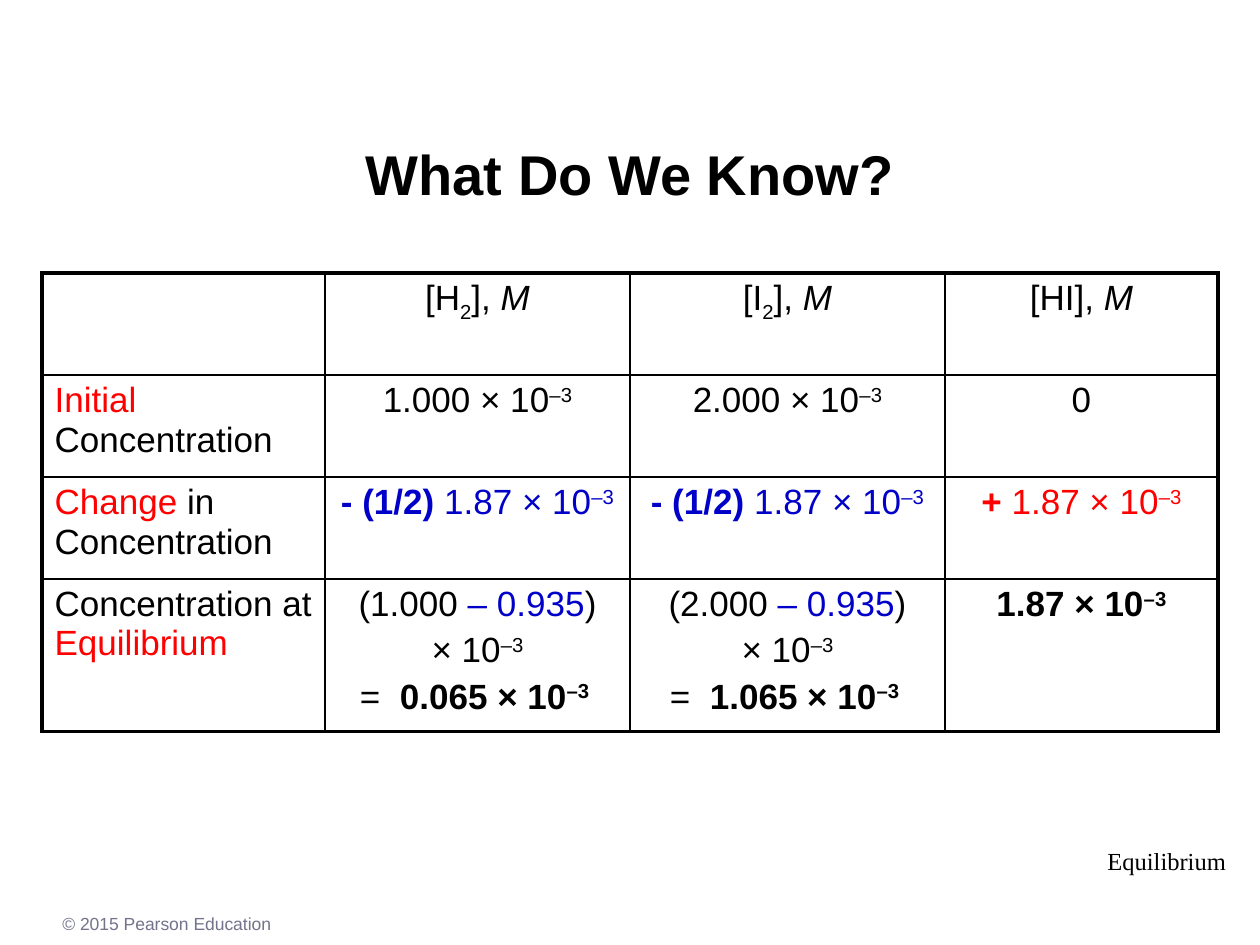
import pptx
import pptx.dml.color
import pptx.enum.text
import pptx.oxml
import pptx.oxml.ns
import pptx.util

PX_PER_INCH = 126
COLORS = {"black": "000000", "red": "FF0000", "blue": "0000C9", "grey": "73738C"}
ALIGN = pptx.enum.text.PP_ALIGN
ANCHOR = pptx.enum.text.MSO_ANCHOR


def px(length):
    return pptx.util.Emu(round(length * 914400 / PX_PER_INCH))


def part(text, **look):
    """Pair a piece of text with the format that sets it apart in its line."""
    return text, look


def write(paragraph, text, size=20, font="Arial", color="black",
          bold=False, italic=False, baseline=0):
    run = paragraph.add_run()
    run.text = text
    run.font.size = pptx.util.Pt(size)
    run.font.name = font
    run.font.bold = bold
    run.font.italic = italic
    run.font.color.rgb = pptx.dml.color.RGBColor.from_string(COLORS[color])
    if baseline:
        run.font._element.set("baseline", str(baseline * 1000))


def power(text, tail="", **look):
    """Number followed by the superscript exponent –3."""
    return [part(text, **look), part("–3" + tail, baseline=30, **look)]


def heading(formula, subscript=""):
    parts = [part("[" + formula)]
    if subscript:
        parts.append(part(subscript, baseline=-25))
    return [parts + [part("], "), part("M", italic=True)]]


def change(sign, color):
    return [[part(sign, bold=True, color=color)] + power("1.87 × 10", color=color)]


def remainder(initial, result):
    """Three lines that subtract the change from the initial amount."""
    return [
        [part(f"({initial} "), part("– 0.935", color="blue"), part(")")],
        power("× 10"),
        [part("=  ")] + power(f"{result} × 10", " ", bold=True),
    ]


class SlideBuilder:
    thin, thick = 1, 2.25

    def __init__(self, presentation):
        self.slide = presentation.slides.add_slide(presentation.slide_layouts[5])

    def title(self, text, left, top, width, height):
        title = self.slide.shapes.title
        title.left, title.top = px(left), px(top)
        title.width, title.height = px(width), px(height)
        frame = title.text_frame
        frame.vertical_anchor = ANCHOR.MIDDLE
        frame.paragraphs[0].alignment = ALIGN.CENTER
        write(frame.paragraphs[0], text, size=32, bold=True)

    def label(self, text, left, top, width, height, wrap=True, **look):
        box = self.slide.shapes.add_textbox(px(left), px(top), px(width), px(height))
        box.text_frame.word_wrap = wrap
        write(box.text_frame.paragraphs[0], text, **look)

    def table(self, rows, left, top, widths, heights):
        table = self.slide.shapes.add_table(
            len(rows), len(widths), px(left), px(top),
            px(sum(widths)), px(sum(heights))).table
        table.first_row = table.horz_banding = False
        for column, width in zip(table.columns, widths):
            column.width = px(width)
        for row, height in zip(table.rows, heights):
            row.height = px(height)
        last_row, last_column = len(rows) - 1, len(widths) - 1
        for r, row in enumerate(rows):
            for c, lines in enumerate(row):
                cell = table.cell(r, c)
                self.fill_cell(cell, lines, ALIGN.CENTER if c else ALIGN.LEFT)
                self.border(cell, L=c == 0, R=c == last_column,
                            T=r == 0, B=r == last_row)
                cell.fill.background()

    def fill_cell(self, cell, lines, alignment):
        frame = cell.text_frame
        for index, parts in enumerate(lines):
            paragraph = frame.add_paragraph() if index else frame.paragraphs[0]
            paragraph.alignment = alignment
            if index:
                paragraph.space_before = pptx.util.Pt(4)
            for text, look in parts:
                write(paragraph, text, **look)

    def border(self, cell, **outer_sides):
        """Draw all four sides, thick where the side is on the table's edge."""
        properties = cell._tc.get_or_add_tcPr()
        for side, outer in outer_sides.items():
            width = pptx.util.Pt(self.thick if outer else self.thin)
            properties.append(pptx.oxml.parse_xml(
                f'<a:ln{side} {pptx.oxml.ns.nsdecls("a")} w="{width}"><a:solidFill>'
                f'<a:srgbClr val="{COLORS["black"]}"/></a:solidFill></a:ln{side}>'))


def main():
    presentation = pptx.Presentation()
    presentation.slide_width, presentation.slide_height = px(1260), px(945)
    builder = SlideBuilder(presentation)

    builder.label("Equilibrium", 1095, 840, 144, 42, wrap=False,
                  size=14, font="Times New Roman")
    builder.label("© 2015 Pearson Education", 50, 907, 1134, 34, size=10, color="grey")
    builder.title("What Do We Know?", 0, 95, 1260, 157)

    concentrations = [
        [[], heading("H", "2"), heading("I", "2"), heading("HI")],
        [[[part("Initial ", color="red"), part("Concentration")]],
         [power("1.000 × 10")], [power("2.000 × 10")], [[part("0")]]],
        [[[part("Change", color="red"), part(" in Concentration")]],
         change("- (1/2) ", "blue"), change("- (1/2) ", "blue"), change("+ ", "red")],
        [[[part("Concentration at "), part("Equilibrium", color="red")]],
         remainder("1.000", "0.065"), remainder("2.000", "1.065"),
         [power("1.87 × 10", bold=True)]],
    ]
    builder.table(concentrations, 42, 273, widths=[283, 305, 315, 273],
                  heights=[102, 102, 102, 144])
    presentation.save("out.pptx")


if __name__ == "__main__":
    main()
